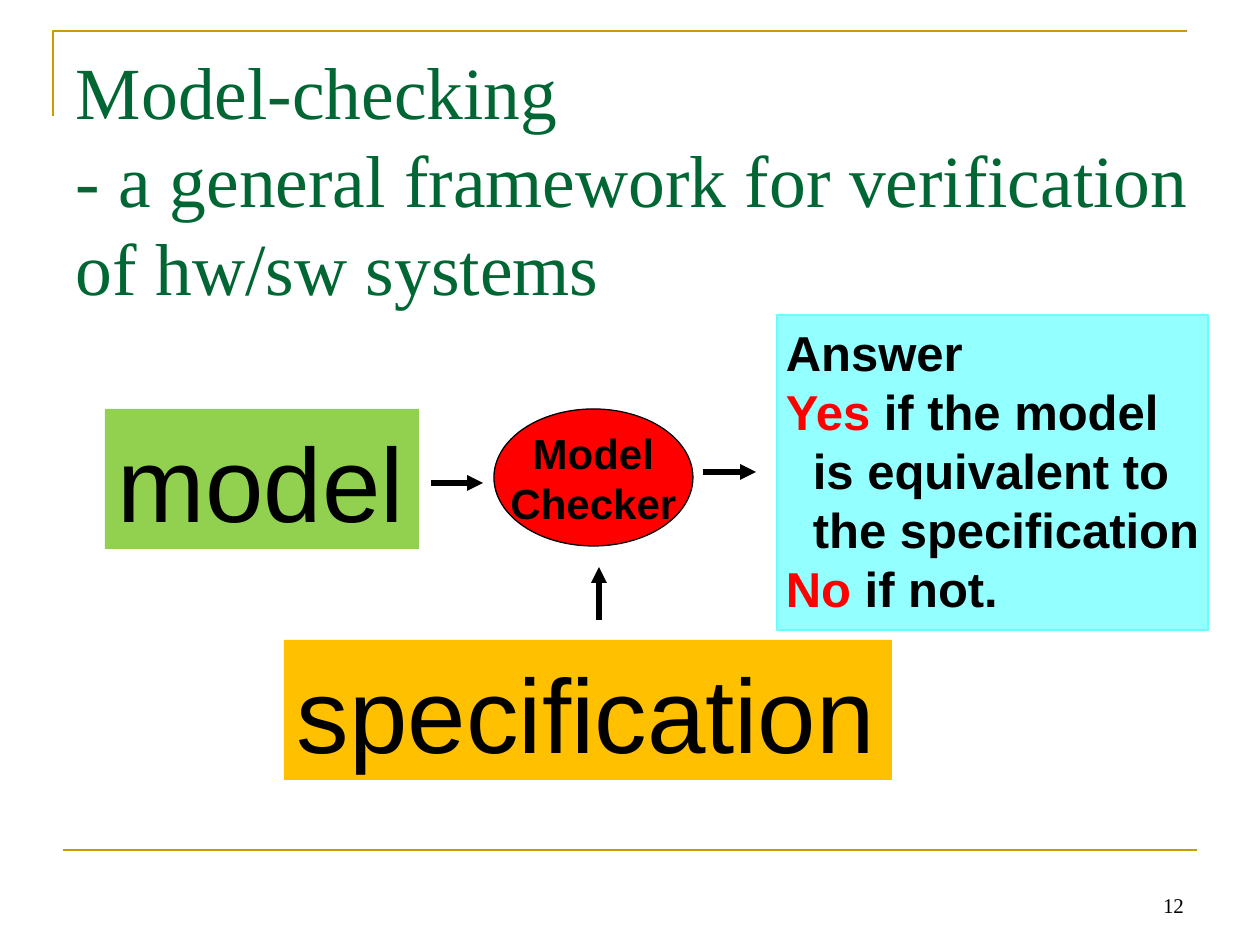
"""Build the slide that presents the model-checking framework."""
from lxml.etree import SubElement
from pptx import Presentation
from pptx.dml.color import RGBColor
from pptx.enum.shapes import MSO_CONNECTOR as Line, MSO_SHAPE as Shape
from pptx.enum.text import MSO_ANCHOR as Anchor, MSO_AUTO_SIZE as AutoSize, PP_ALIGN as Align
from pptx.oxml.ns import qn
from pptx.util import Emu, Pt

BLACK = RGBColor(0x00, 0x00, 0x00)
RED = RGBColor(0xFF, 0x00, 0x00)
GREEN = RGBColor(0x00, 0x66, 0x33)
GOLD = RGBColor(0xCC, 0x99, 0x00)
LIME = RGBColor(0x92, 0xD0, 0x50)
AMBER = RGBColor(0xFF, 0xC0, 0x00)
CYAN = RGBColor(0x66, 0xFF, 0xFF)

SANS, SERIF = "Arial", "Times New Roman"
SIDE_INSET = 13
INDENT = 27

TITLE = "Model-checking\v- a general framework for verification of hw/sw systems"
PAGE_NUMBER = "12"
CHECKER = [(0, [("Model", BLACK)]), (0, [("Checker", BLACK)])]
ANSWER = [
    (0, [("Answer", BLACK)]),
    (0, [("Yes", RED), (" if the model", BLACK)]),
    (INDENT, [("is equivalent to", BLACK)]),
    (INDENT, [("the specification", BLACK)]),
    (0, [("No", RED), (" if not.", BLACK)]),
]
INPUTS = [
    ("model", (105, 409, 314, 140), LIME),
    ("specification", (284, 640, 608, 140), AMBER),
]
CORNER = [(53, 116), (53, 31), (1187, 31)]
FOOT_RULE = [(63, 850), (1197, 850)]
ARROWS = [
    [(431, 483), (483, 483)],
    [(599, 620), (599, 567)],
    [(703, 472), (756, 472)],
]


def px(length):
    return Emu(round(length * 914400 / 126))


def write(shape, lines, size, spacing, font=SANS, bold=False,
          align=Align.LEFT, anchor=Anchor.TOP, wrap=False, inset=(SIDE_INSET, 6)):
    frame = shape.text_frame
    frame.word_wrap = wrap
    frame.auto_size = AutoSize.NONE
    frame.vertical_anchor = anchor
    frame.margin_left = frame.margin_right = px(inset[0])
    frame.margin_top, frame.margin_bottom = px(inset[1]), px(6)
    for number, (indent, spans) in enumerate(lines):
        para = frame.add_paragraph() if number else frame.paragraphs[0]
        if indent:
            para._p.get_or_add_pPr().set("marL", str(px(indent)))
        para.alignment = align
        para.line_spacing = Pt(spacing)
        para.font.name, para.font.size, para.font.bold = font, Pt(size), bold
        for text, color in spans:
            span = para.add_run()
            span.text = text
            span.font.color.rgb = color


def add_box(page, kind, place, fill, outline=None):
    box = page.shapes.add_shape(kind, *map(px, place))
    box.shadow.inherit = False
    box.fill.solid()
    box.fill.fore_color.rgb = fill
    if outline is None:
        box.line.fill.background()
    else:
        box.line.color.rgb = outline
        box.line.width = Pt(0.75)
    return box


def add_line(page, ends, color, width, arrow=False):
    start, end = ends
    line = page.shapes.add_connector(Line.STRAIGHT, *map(px, start + end))
    line.line.color.rgb = color
    line.line.width = Pt(width)
    if arrow:
        SubElement(line.line._get_or_add_ln(), qn("a:tailEnd"), type="triangle")
    SubElement(line._element.spPr, qn("a:effectLst"))


def add_corner(page):
    start, *rest = [(px(x), px(y)) for x, y in CORNER]
    builder = page.shapes.build_freeform(*start)
    builder.add_line_segments(rest, close=False)
    corner = builder.convert_to_shape()
    corner.shadow.inherit = False
    corner.fill.background()
    corner.line.color.rgb = GOLD
    corner.line.width = Pt(1.5)


def main():
    deck = Presentation()
    deck.slide_width, deck.slide_height = px(1260), px(945)
    page = deck.slides.add_slide(deck.slide_layouts[5])

    add_corner(page)
    add_line(page, FOOT_RULE, GOLD, 1.5)

    title = page.shapes.title
    title.left, title.top, title.width, title.height = map(px, (63, 38, 1197, 157))
    write(title, [], 42, 50, wrap=True, inset=(SIDE_INSET, 8))
    title.text_frame.text = TITLE
    heading = title.text_frame.paragraphs[0]
    heading.alignment = Align.LEFT
    heading.line_spacing = Pt(50.3)
    heading.font.name, heading.font.size = SERIF, Pt(42)
    heading.font.color.rgb = GREEN

    number = page.shapes.add_textbox(*map(px, (903, 861, 294, 63)))
    write(number, [(0, [(PAGE_NUMBER, BLACK)])], 12, 14, font=SERIF,
          align=Align.RIGHT, anchor=Anchor.BOTTOM, wrap=True)

    checker = add_box(page, Shape.OVAL, (494, 409, 199, 137), RED, BLACK)
    write(checker, CHECKER, 24, 28.6, bold=True, align=Align.CENTER, anchor=Anchor.MIDDLE)

    answer = add_box(page, Shape.RECTANGLE, (777, 315, 431, 315), CYAN, CYAN)
    tint = answer._element.spPr.find(qn("a:solidFill"))[0]
    SubElement(tint, qn("a:alpha"), val="70000")
    write(answer, ANSWER, 28, 33.6, bold=True, inset=(9, 8))

    for ends in ARROWS:
        add_line(page, ends, BLACK, 3, arrow=True)

    for name, place, color in INPUTS:
        box = add_box(page, Shape.RECTANGLE, place, color)
        write(box, [(0, [(name, BLACK)])], 60, 72, inset=(SIDE_INSET, 9))

    deck.save("out.pptx")


if __name__ == "__main__":
    main()
